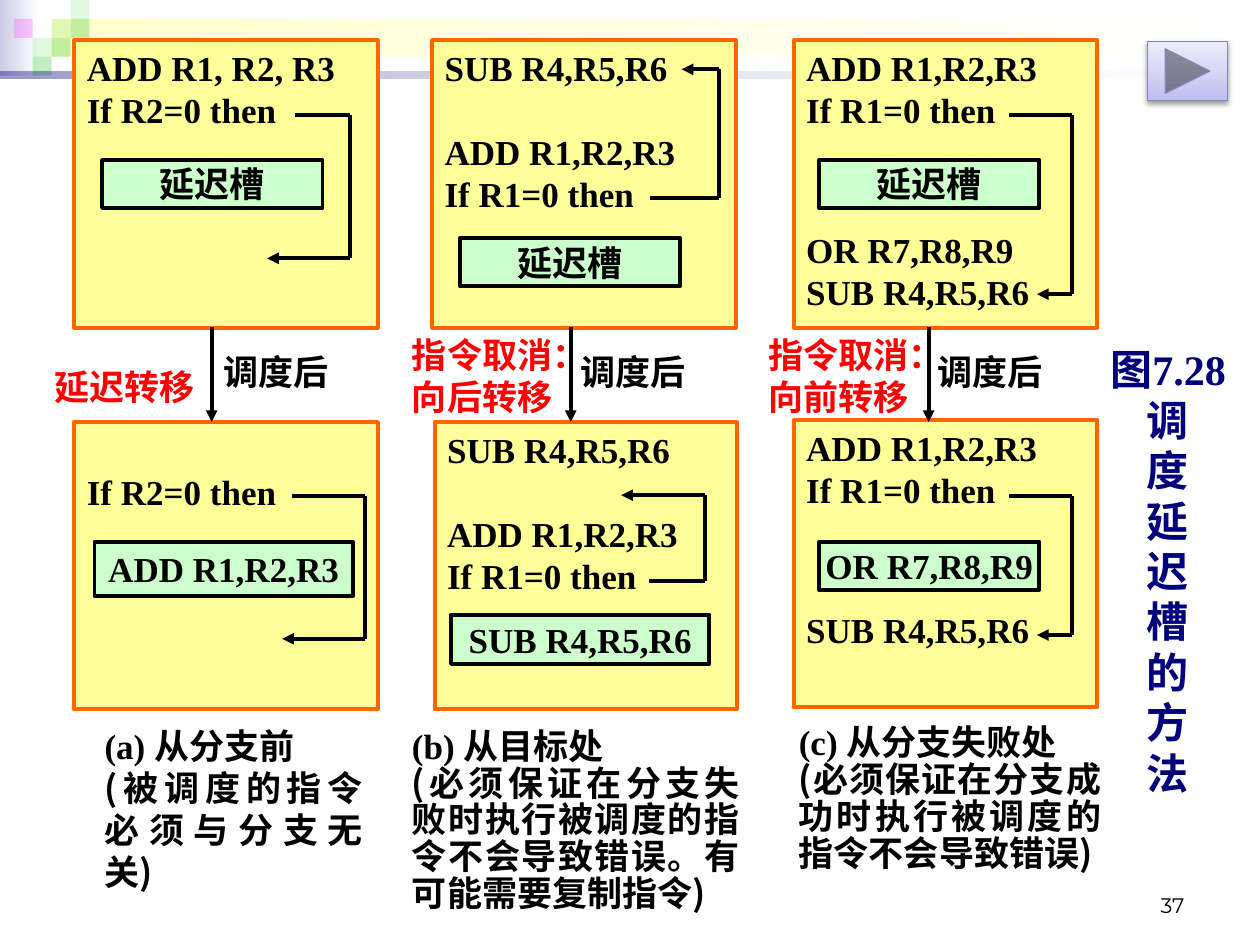
from dataclasses import dataclass

from lxml.etree import SubElement
from pptx import Presentation
from pptx.dml.color import RGBColor
from pptx.enum.shapes import MSO_CONNECTOR, MSO_SHAPE
from pptx.enum.text import MSO_ANCHOR, MSO_AUTO_SIZE, PP_ALIGN
from pptx.oxml.ns import qn
from pptx.util import Inches, Pt

BLACK = RGBColor(0, 0, 0)
WHITE = RGBColor(255, 255, 255)
RED = RGBColor(255, 0, 0)
NAVY = RGBColor(0, 0, 0x7D)
ORANGE = RGBColor(0xFF, 0x66, 0)
CREAM = RGBColor(0xFF, 0xFF, 0x99)
PALE = RGBColor(0xFF, 0xFF, 0xCC)
MINT = RGBColor(0xCC, 0xFF, 0xCC)
GREEN = RGBColor(0x33, 0xCC, 0x33)
PINK = RGBColor(0xFF, 0, 0xFF)
LILAC = RGBColor(0xCC, 0xCC, 0xE6)
SERIF, HAN = "Times New Roman", "Noto Sans CJK SC"
LINE = 24  # height of one code line in points

deck = Presentation()
deck.slide_width, deck.slide_height = Inches(10), Inches(7.5)
# The grid has 100 columns and 75 rows
COL, ROW = deck.slide_width / 100, deck.slide_height / 75
slide = deck.slides.add_slide(deck.slide_layouts[5])
shapes = slide.shapes


@dataclass
class Panel:
    x: float
    y: float
    code: list  # (text, points before)
    slot: str
    box: tuple
    jump: list  # corners of the jump arrow
    wide: float = 24.1
    skip: int = 0  # empty lines at the top


@dataclass
class Case:
    down: float  # column of the downward arrow
    after: float  # column of the label beside it
    kind: list
    spot: tuple
    head: str
    note: str
    area: tuple
    lead: float


def place(x: float, y: float, w: float, h: float) -> tuple:
    return round(x * COL), round(y * ROW), round(w * COL), round(h * ROW)


def rect(area: tuple, fill=None, edge=None, kind=MSO_SHAPE.RECTANGLE, thick=2.25):
    box = shapes.add_shape(kind, *place(*area))
    box.shadow.inherit = False
    if fill is None:
        box.fill.background()
    else:
        box.fill.solid()
        box.fill.fore_color.rgb = fill
    if edge is None:
        box.line.fill.background()
    else:
        box.line.color.rgb = edge
        box.line.width = Pt(thick)
    return box


def fade(box, start, stop, angle: float = 0) -> None:
    box.fill.gradient()
    box.fill.gradient_angle = angle
    for mark, tint in zip(box.fill.gradient_stops, (start, stop)):
        mark.color.rgb = tint


def alpha(box, *shares: int) -> None:
    for tint, share in zip(box.fill._xPr.iter(qn("a:srgbClr")), shares):
        SubElement(tint, qn("a:alpha")).set("val", str(share * 1000))


def style(par, align, tint=BLACK, size=20, name=SERIF, bold=True) -> None:
    par.alignment = align
    par.font.size, par.font.name, par.font.bold = Pt(size), name, bold
    par.font.color.rgb = tint


def write(box, lines: list, align=PP_ALIGN.JUSTIFY, anchor=MSO_ANCHOR.TOP,
          pad=0.0, **look):
    frame = box.text_frame
    frame.word_wrap, frame.auto_size = True, MSO_AUTO_SIZE.NONE
    frame.vertical_anchor = anchor
    frame.margin_left = frame.margin_right = Inches(pad)
    frame.margin_top = frame.margin_bottom = Inches(pad / 2)
    frame.text = "\n".join(lines)
    for par in frame.paragraphs:
        style(par, align, **look)
    return frame


def route(points: list, arrow: bool = True) -> None:
    legs = list(zip(points, points[1:]))
    for leg, (start, end) in enumerate(legs, 1):
        wire = shapes.add_connector(MSO_CONNECTOR.STRAIGHT, *place(*start, *end))
        wire.line.color.rgb, wire.line.width = BLACK, Pt(2.25)
        SubElement(wire._element.spPr, qn("a:effectLst"))
        if arrow and leg == len(legs):
            SubElement(wire.line._get_or_add_ln(), qn("a:tailEnd")).set("type", "triangle")


def draw_panel(item: Panel) -> None:
    box = rect((item.x, item.y, item.wide, 22.8), CREAM, ORANGE)
    frame = write(box, [text for text, _ in item.code], pad=0.1)
    frame.margin_top += Pt(LINE * item.skip)
    for par, (_, gap) in zip(frame.paragraphs, item.code):
        if gap:
            par.space_before = Pt(gap)
    write(rect(item.box, MINT, BLACK), [item.slot], PP_ALIGN.CENTER, MSO_ANCHOR.MIDDLE)
    route(item.jump)


def draw_case(item: Case) -> None:
    route([(item.down, 25.95), (item.down, 33.5)])
    write(rect((item.after, 27.8, 8.8, 3.8), WHITE), ["调度后"])
    write(shapes.add_textbox(*place(*item.spot)), item.kind, tint=RED)
    frame = write(rect(item.area, WHITE), [item.head, ""])
    par = frame.paragraphs[1]
    par.line_spacing = item.lead
    for text, name in (("(", HAN), (item.note, SERIF), (")", HAN)):
        run = par.add_run()
        run.text, run.font.name = text, name


# Background bands and mosaic
fade(rect((0, 0, 3.1, 6), WHITE), LILAC, WHITE)
fade(rect((4.1, 1.5, 95.5, 3), WHITE), PALE, WHITE)
for col, row, tint, share in [
    (2, 1, GREEN, 15), (3, 0, GREEN, 15), (3, 1, GREEN, 30), (1, 2, GREEN, 15),
    (0, 1, PINK, 20), (2, 2, GREEN, 30), (1, 3, GREEN, 30),
]:
    alpha(rect((1.1 + 1.5 * col, 1.5 * row, 1.5, 1.5), tint), share)
band = rect((0, 5.7, 100, 0.5), WHITE)
fade(band, NAVY, WHITE)
alpha(band, 40, 10)

# Code before and after scheduling
ADD, SUB, OR = "ADD R1,R2,R3", "SUB R4,R5,R6", "OR R7,R8,R9"
TEST, SLOT = "If R1=0 then", "延迟槽"
LOOP = [(SUB, 0), (ADD, LINE), (TEST, 0)]
SKIP = 2 * LINE + 7.8
for panel in [
    Panel(5.9, 3.2, [("ADD R1, R2, R3", 0), ("If R2=0 then", 0)], SLOT,
          (8.1, 12.7, 17.5, 3.8),
          [(23.4, 9.1), (27.8, 9.1), (27.8, 20.5), (21.2, 20.5)]),
    Panel(5.9, 33.5, [("If R2=0 then", 0)], ADD, (7.5, 43, 20.5, 4.3),
          [(23.2, 39.4), (29, 39.4), (29, 50.7), (22.4, 50.7)], skip=1),
    Panel(34.3, 3.2, LOOP, SLOT, (36.5, 18.9, 17.5, 3.8),
          [(51.6, 15.7), (57.1, 15.7), (57.1, 5.5), (54.1, 5.5)]),
    Panel(34.5, 33.5, LOOP, SUB, (35.8, 48.8, 20.5, 3.9),
          [(51.5, 46.1), (55.95, 46.1), (55.95, 39.3), (49.3, 39.3)], wide=24),
    Panel(63, 3.2, [(ADD, 0), (TEST, 0), (OR, SKIP), (SUB, 0)], SLOT,
          (65, 12.7, 17.5, 3.8),
          [(80.1, 9.1), (85.05, 9.1), (85.05, 23.35), (82.3, 23.35)]),
    Panel(63, 33.35, [(ADD, 0), (TEST, 0), (SUB, SKIP)], OR, (65, 43, 17.5, 3.8),
          [(80.1, 39.4), (85.05, 39.4), (85.05, 50.4), (82.3, 50.4)]),
]:
    draw_panel(panel)

# Labels between the panels and notes below
for case in [
    Case(16.8, 17.7, ["延迟转移"], (4.3, 29, 13.4, 3.8), "(a) 从分支前",
         "被调度的指令必须与分支无关", (8.3, 57.5, 20.5, 11.1), 1),
    Case(45.3, 46.1, ["指令取消：", "向后转移"], (32.7, 26.5, 17.3, 7.9), "(b) 从目标处",
         "必须保证在分支失败时执行被调度的指令不会导致错误。有可能需要复制指令",
         (32.7, 57.5, 26, 14.7), 0.88),
    Case(73.7, 74.4, ["指令取消：", "向前转移"], (61, 26.5, 17.3, 7.9), "(c) 从分支失败处",
         "必须保证在分支成功时执行被调度的指令不会导致错误",
         (63.4, 57.2, 24, 12.2), 0.88),
]:
    draw_case(case)

# Title, one character a line
title = shapes.title
title.left, title.top, title.width, title.height = place(87.4, 25.2, 10.6, 40.2)
write(title, ["图7.28", *"调度延迟槽的方法"], PP_ALIGN.CENTER, MSO_ANCHOR.MIDDLE,
      tint=NAVY, size=24)

# Page number and forward button
write(shapes.add_textbox(*place(71.7, 68.3, 23.3, 5)), ["37"], PP_ALIGN.RIGHT,
      MSO_ANCHOR.BOTTOM, pad=0.1, size=12, name="Montserrat", bold=False)
next_key = rect((91.1, 3.3, 6.3, 4.7), WHITE, RGBColor(0x86, 0x86, 0xB6),
                MSO_SHAPE.ACTION_BUTTON_FORWARD_OR_NEXT, 0.75)
fade(next_key, RGBColor(0xBF, 0xBF, 0xF0), RGBColor(0xED, 0xED, 0xFB), 90)
glow = next_key._element.spPr.find(qn("a:effectLst"))
shade = SubElement(glow, qn("a:outerShdw"), blurRad=str(Pt(3.1)), dist=str(Pt(1.6)),
                   dir="5400000", rotWithShape="0")
SubElement(SubElement(shade, qn("a:srgbClr"), val="000000"), qn("a:alpha"), val="38000")

deck.save("out.pptx")
